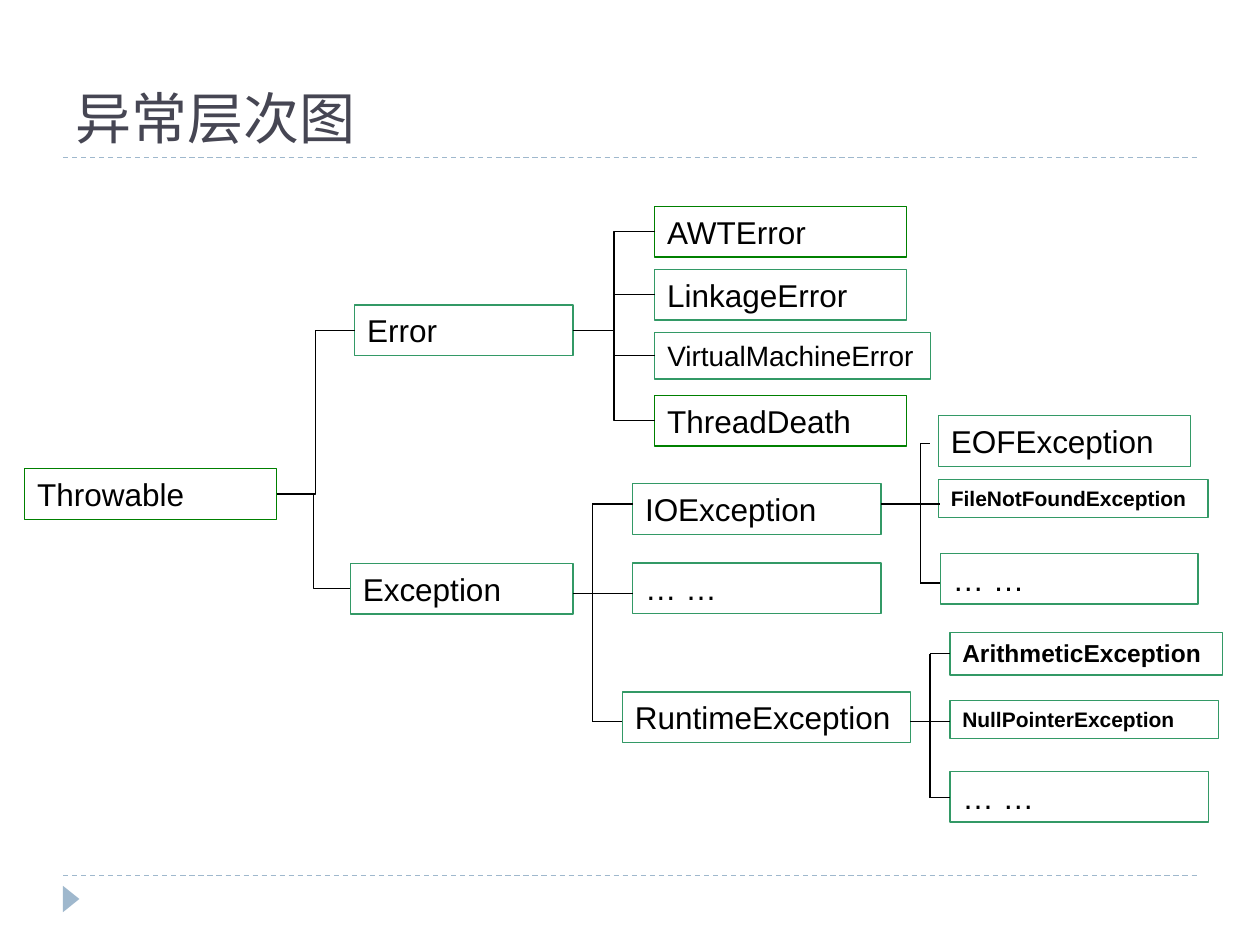
from pptx import Presentation
from pptx.dml.color import RGBColor
from pptx.enum.dml import MSO_LINE
from pptx.enum.shapes import MSO_CONNECTOR, MSO_SHAPE
from pptx.enum.text import MSO_ANCHOR, MSO_AUTO_SIZE, PP_ALIGN
from pptx.oxml.ns import qn
from pptx.util import Pt
from lxml import etree

rgb = RGBColor.from_string
GREEN, SEA, BLUE = "008000", "339966", "9FB8CD"

prs = Presentation()
prs.slide_width, prs.slide_height = Pt(720), Pt(540)
s = prs.slides.add_slide(prs.slide_layouts[5])


def connect(x1, y1, x2, y2, color="000000", kind=MSO_CONNECTOR.STRAIGHT):
    c = s.shapes.add_connector(kind, Pt(x1), Pt(y1), Pt(x2), Pt(y2))
    c.line.color.rgb = rgb(color)
    c.line.width = Pt(0.75)
    etree.SubElement(c._element.spPr, qn("a:effectLst"))
    return c


# Frame: dashed rules, corner marker and title
for y in (500.4, 90):
    connect(36, y, 684, y, BLUE).line.dash_style = MSO_LINE.DASH

marker = s.shapes.add_shape(MSO_SHAPE.ISOSCELES_TRIANGLE, Pt(33.1), Pt(509), Pt(15.1), Pt(9.4))
marker.rotation = 90
marker.shadow.inherit = False
marker.fill.solid()
marker.fill.fore_color.rgb = rgb(BLUE)
marker.line.fill.background()

title = s.shapes.title
title.left, title.top, title.width, title.height = Pt(36), Pt(12.2), Pt(648), Pt(77.8)
tf = title.text_frame
tf.text = "异常层次图"
tf.vertical_anchor = MSO_ANCHOR.BOTTOM
p = tf.paragraphs[0]
p.alignment = PP_ALIGN.LEFT
r = p.runs[0]
r.font.size = Pt(32)
r.font.name = "Noto Sans CJK SC"
r.font.color.rgb = rgb("464653")
etree.SubElement(r.font._element, qn("a:ea"), typeface="Noto Sans CJK SC")

# Class boxes: text, left, top, width, line colour, font size
classes = [
    ("Throwable", 14.2, 267.9, 144, GREEN, 18),
    ("Error", 202.7, 174.4, 124.7, SEA, 18),
    ("Exception", 200.2, 322, 127.2, SEA, 18),
    ("AWTError", 374.2, 118, 144, GREEN, 18),
    ("LinkageError", 374.2, 154, 144, SEA, 18),
    ("VirtualMachineError", 374.2, 190, 157.7, SEA, 16),
    ("ThreadDeath", 374.2, 226, 144, GREEN, 18),
    ("IOException", 361.5, 276.5, 142, SEA, 18),
    ("… …", 361.5, 321.8, 142, SEA, 18),
    ("RuntimeException", 355.7, 395.4, 164.5, SEA, 18),
    ("EOFException", 536.3, 237.6, 144, SEA, 18),
    ("FileNotFoundException", 536.3, 274, 154.1, SEA, 12),
    ("… …", 537.3, 316.2, 147.3, SEA, 18),
    ("ArithmeticException", 542.8, 361.3, 155.8, SEA, 14),
    ("NullPointerException", 542.8, 400.3, 153.4, SEA, 12),
    ("… …", 542.8, 440.8, 147.6, SEA, 18),
]
heights = {18: 28.9, 16: 26.6, 14: 24.4, 12: 21.8}
boxes = {}
for text, x, y, w, color, size in classes:
    sp = s.shapes.add_shape(MSO_SHAPE.RECTANGLE, Pt(x), Pt(y), Pt(w), Pt(heights[size]))
    sp.shadow.inherit = False
    sp.fill.solid()
    sp.fill.fore_color.rgb = rgb("FFFFFF")
    sp.line.color.rgb = rgb(color)
    sp.line.width = Pt(0.75)
    tf = sp.text_frame
    tf.word_wrap = True
    tf.auto_size = MSO_AUTO_SIZE.SHAPE_TO_FIT_TEXT
    tf.vertical_anchor = MSO_ANCHOR.TOP
    tf.text = text
    p = tf.paragraphs[0]
    p.alignment = PP_ALIGN.LEFT
    p.space_before = Pt(size * 0.625)
    p.font.size = Pt(size)
    p.font.name = "Arial"
    p.font.bold = size < 16
    p.font.color.rgb = rgb("000000")
    boxes[text] = sp

# Elbow connectors from parent to child
children = {
    "Throwable": ["Error", "Exception"],
    "Error": ["AWTError", "LinkageError", "VirtualMachineError", "ThreadDeath"],
}
for parent, names in children.items():
    for name in names:
        c = connect(0, 0, 10, 10, kind=MSO_CONNECTOR.ELBOW)
        c.begin_connect(boxes[parent], 3)
        c.end_connect(boxes[name], 1)

# Brackets: spine x, parent (x, y), branch ends (x, y) from top to bottom
brackets = [
    (338.4, (327.4, 339), [(361.5, 288), (361.5, 339), (355.7, 412.4)]),
    (525.8, (503.5, 288), [(531.4, 253.6), (537.3, 288), (537.3, 333.2)]),
    (531.4, (520.2, 412.4), [(542.8, 373.6), (542.8, 412.4), (542.8, 455.8)]),
]
for spine, (px, py), ends in brackets:
    connect(px, py, spine, py)
    connect(spine, ends[0][1], spine, ends[-1][1])
    for x, y in ends:
        connect(spine, y, x, y)

prs.save("out.pptx")
